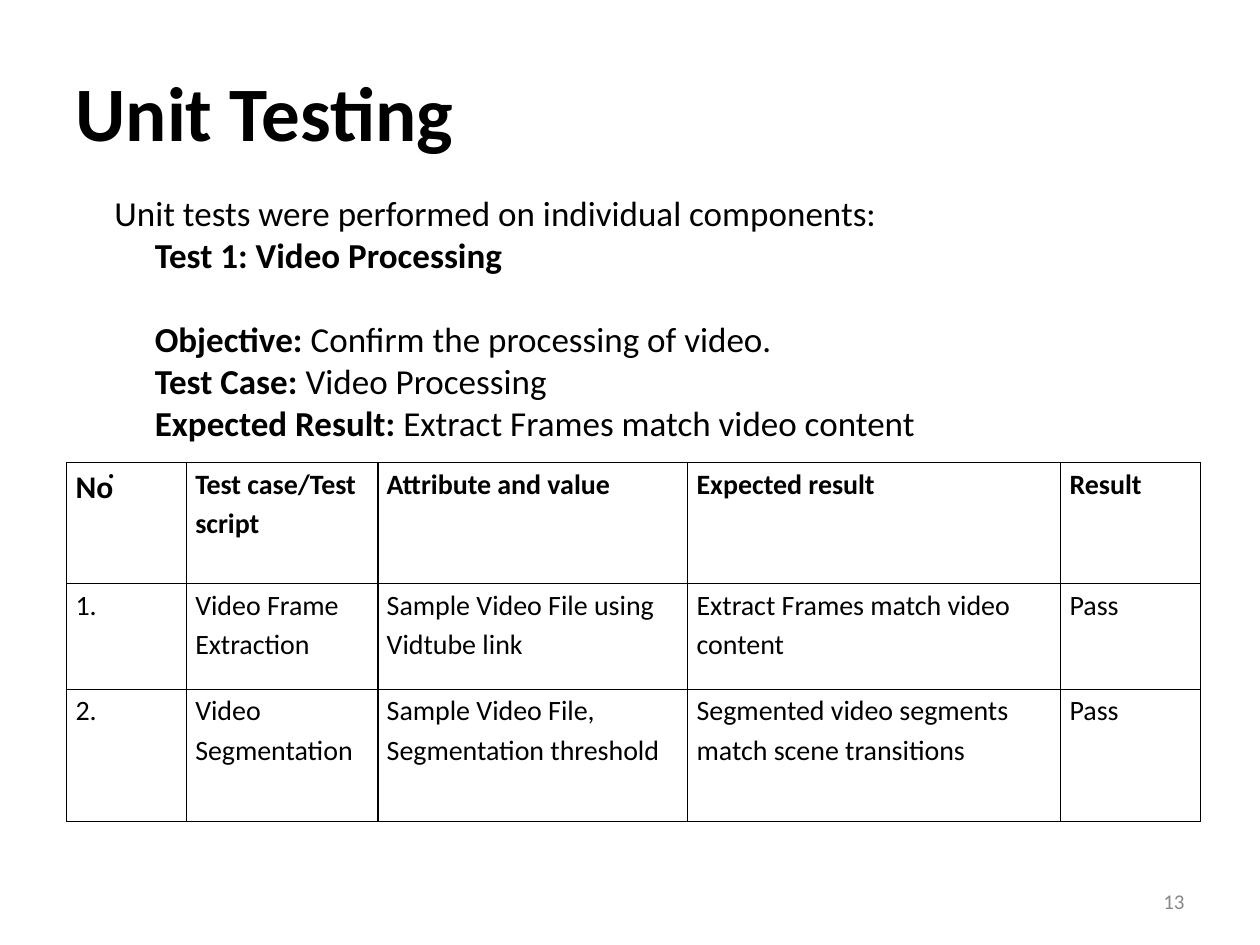
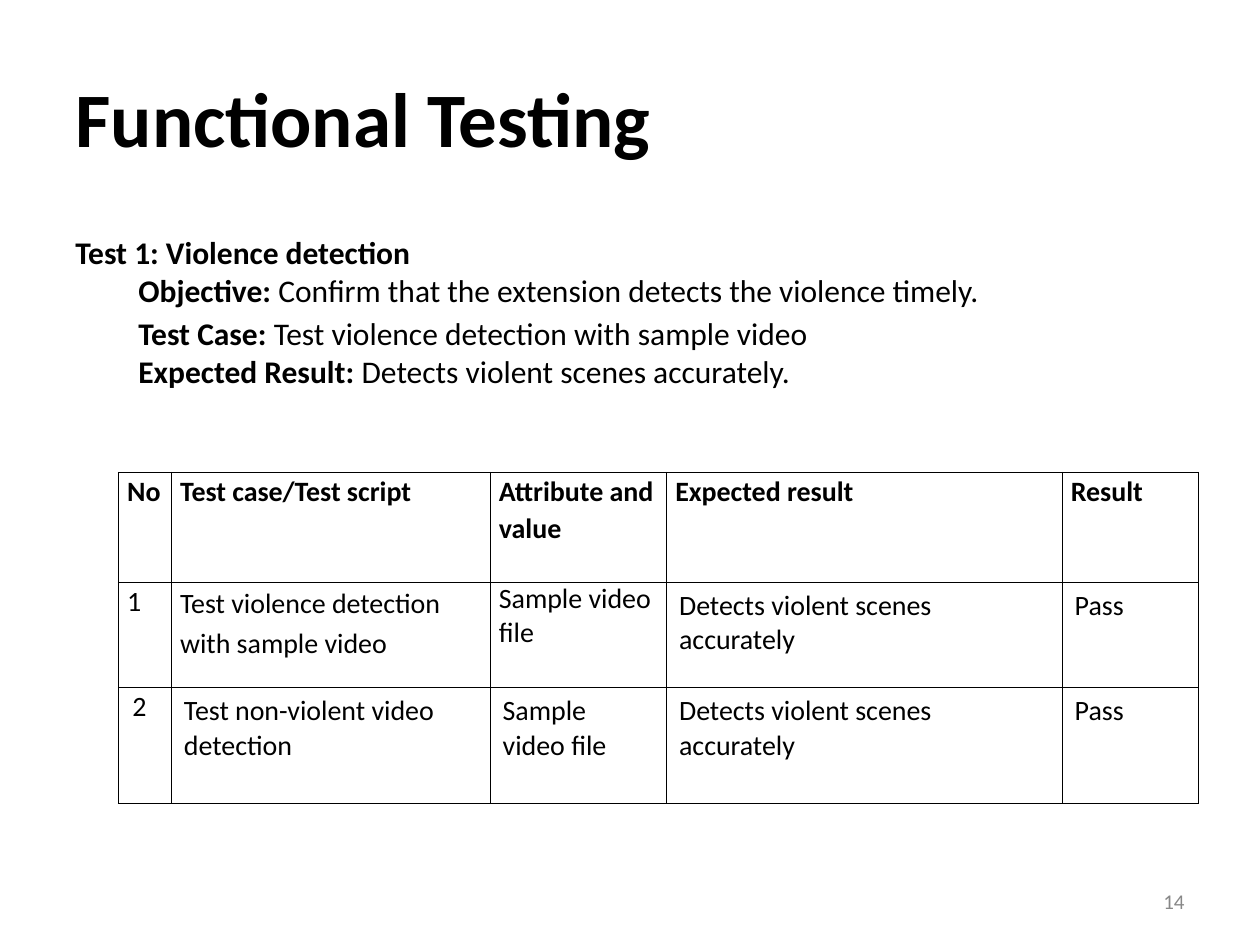
import pptx
import pptx.dml.color
import pptx.enum.text
import pptx.oxml
import pptx.oxml.ns
import pptx.util
from pptx.util import Inches

BLACK, GREY = "000000", "888888"
FONT = "Calibri"
LEFT = pptx.enum.text.PP_ALIGN.LEFT
RIGHT = pptx.enum.text.PP_ALIGN.RIGHT
MIDDLE = pptx.enum.text.MSO_ANCHOR.MIDDLE

# Each line: bold part, plain part, indent, space before (pt), line spacing.
# Cell layout: a number is the line spacing of a tight cell, None a roomy cell.
test_slides = [
    dict(
        title="Unit Testing", title_spacing=0.9, title_after=6, number="13",
        summary_at=(0.75, 1.47, 8.41, 3.13), summary_inset=0.05, summary_size=20,
        summary=[
            ("", "Unit tests were performed on individual components:", 0.06, 0, 1),
            ("Test 1: Video Processing", "", 0.38, 0, 1),
            ("Objective:", " Confirm the processing of video.", 0.38, 24, 1),
            ("Test Case: ", "Video Processing", 0.38, 0, 1),
            ("Expected Result: ", "Extract Frames match video content", 0.38, 0, 1),
            ("", ".", 0, 0, 1),
        ],
        table_at=(0.53, 3.67),
        columns=[0.95, 1.52, 2.46, 2.96, 1.11],
        rows=[0.96, 0.84, 1.05],
        number_heading_size=18,
        cells=[
            ["No", "Test case/Test script", "Attribute and value", "Expected result", "Result"],
            ["1.", "Video Frame Extraction", "Sample Video File using Vidtube link",
             "Extract Frames match video content", "Pass"],
            ["2.", "Video Segmentation", "Sample Video File, Segmentation threshold",
             "Segmented video segments match scene transitions", "Pass"],
        ],
        cell_layout=[[1.15] * 5] * 3,
    ),
    dict(
        title="Functional Testing", title_spacing=1, title_after=0, number="14",
        summary_at=(0.5, 1.75, 9, 4.95), summary_inset=0.1, summary_size=18,
        summary=[
            ("Test 1: Violence detection", "", 0, 0, 1),
            ("Objective:", " Confirm that the extension detects the violence timely.", 0.5, 0, 1),
            ("Test Case: ", "Test violence detection with sample video", 0.5, 0, 1.15),
            ("Expected Result: ", "Detects violent scenes accurately.", 0.5, 0, 1),
        ],
        table_at=(0.94, 3.75),
        columns=[0.42, 2.53, 1.4, 3.14, 1.08],
        rows=[0.87, 0.84, 0.92],
        number_heading_size=16,
        cells=[
            ["No", "Test case/Test script", "Attribute and value", "Expected result", "Result"],
            ["1", "Test violence detection with sample video", "Sample video file",
             "Detects violent scenes accurately", "Pass"],
            ["2", "Test non-violent video detection", "Sample video file",
             "Detects violent scenes accurately", "Pass"],
        ],
        cell_layout=[
            [1.07] * 5,
            [1.07, 1.15, 1, None, None],
            [1.07, None, None, None, None],
        ],
    ),
]


def style(run, size, bold=False, colour=BLACK):
    run.font.name = FONT
    run.font.size = pptx.util.Pt(size)
    run.font.bold = bold
    run.font.color.rgb = pptx.dml.color.RGBColor.from_string(colour)


def outline(cell):
    """Give a cell no fill and a thin black border on all four sides."""
    cell.fill.background()
    properties = cell._tc.get_or_add_tcPr()
    for position, side in enumerate(("lnL", "lnR", "lnT", "lnB")):
        properties.insert(position, pptx.oxml.parse_xml(
            f'<a:{side} {pptx.oxml.ns.nsdecls("a")} w="{pptx.util.Pt(0.75)}">'
            f'<a:solidFill><a:srgbClr val="{BLACK}"/></a:solidFill></a:{side}>'))


deck = pptx.Presentation()
deck.slide_width, deck.slide_height = Inches(10), Inches(7.5)
title_only = deck.slide_layouts[5]

for content in test_slides:
    slide = deck.slides.add_slide(title_only)

    title = slide.shapes.title
    title.left, title.top, title.width, title.height = map(Inches, (0.5, 0.3, 9, 1.25))
    title.text_frame.text = content["title"]
    title.text_frame.vertical_anchor = MIDDLE
    heading = title.text_frame.paragraphs[0]
    heading.alignment = LEFT
    heading.line_spacing = content["title_spacing"]
    heading.space_after = pptx.util.Pt(content["title_after"])
    style(heading.runs[0], 44, bold=True)

    summary = slide.shapes.add_textbox(*map(Inches, content["summary_at"])).text_frame
    summary.word_wrap = True
    summary.margin_left = summary.margin_right = Inches(0.1)
    summary.margin_top = summary.margin_bottom = Inches(content["summary_inset"])
    for index, (label, detail, indent, before, spacing) in enumerate(content["summary"]):
        line = summary.add_paragraph() if index else summary.paragraphs[0]
        line.space_before = pptx.util.Pt(before)
        line.line_spacing = spacing
        line._p.get_or_add_pPr().set("marL", str(Inches(indent)))
        for words, bold in ((label, True), (detail, False)):
            if words:
                run = line.add_run()
                run.text = words
                style(run, content["summary_size"], bold)

    page = slide.shapes.add_textbox(*map(Inches, (7.17, 6.95, 2.33, 0.4))).text_frame
    page.word_wrap = True
    page.vertical_anchor = MIDDLE
    page.text = content["number"]
    page.paragraphs[0].alignment = RIGHT
    style(page.paragraphs[0].runs[0], 12, colour=GREY)

    columns, rows = content["columns"], content["rows"]
    results = slide.shapes.add_table(
        len(rows), len(columns), *map(Inches, content["table_at"]),
        Inches(sum(columns)), Inches(sum(rows))).table
    results.first_row = results.horz_banding = False
    for column, width in zip(results.columns, columns):
        column.width = Inches(width)
    for row, height in zip(results.rows, rows):
        row.height = Inches(height)

    for r, texts in enumerate(content["cells"]):
        for c, words in enumerate(texts):
            cell = results.cell(r, c)
            outline(cell)
            cell.text_frame.text = words
            spacing = content["cell_layout"][r][c]
            if spacing:
                cell.margin_left = cell.margin_right = Inches(0.07)
                cell.margin_top = cell.margin_bottom = 0
                cell.text_frame.paragraphs[0].line_spacing = spacing
            size = content["number_heading_size"] if r == c == 0 else 16
            style(cell.text_frame.paragraphs[0].runs[0], size, bold=r == 0)

# The last number of the functional tests sits slightly further in.
results.cell(2, 0).margin_left = Inches(0.11)

deck.save("out.pptx")
